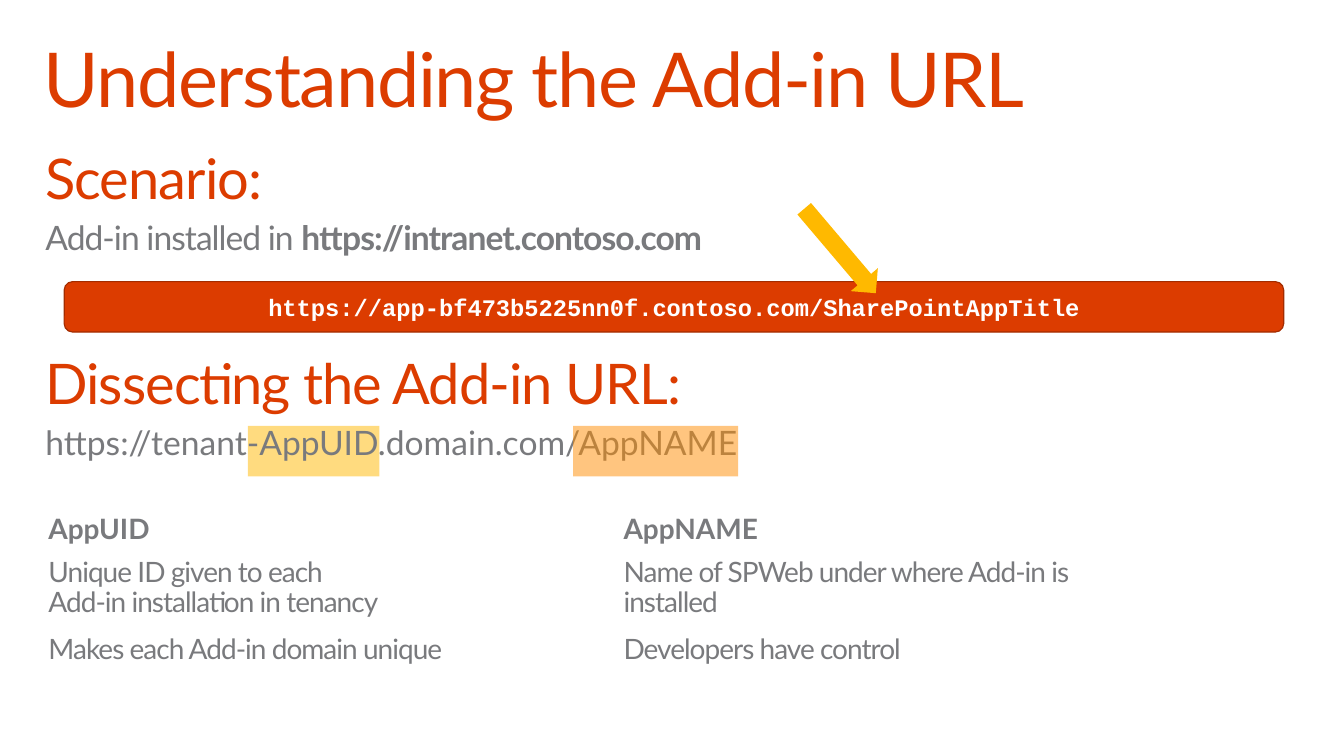
from dataclasses import dataclass
from typing import NamedTuple

from lxml.etree import SubElement
from pptx import Presentation
from pptx.dml.color import RGBColor as Rgb
from pptx.enum.shapes import MSO_SHAPE as Kind
from pptx.enum.text import MSO_ANCHOR as Anchor, PP_ALIGN as Align
from pptx.oxml.ns import qn
from pptx.util import Emu, Pt

PX = 9144  # one px is a hundredth of an inch


@dataclass(frozen=True)
class Theme:
    red: str = "DC3C00"
    edge: str = "A32C00"
    gray: str = "797A7D"
    white: str = "FFFFFF"
    gold: str = "FFB900"
    amber: str = "FF8C00"
    sans: str = "Lato"
    mono: str = "Courier New"
    title: float = 55.1
    head: float = 40.8
    lead: float = 24.5
    text: float = 20.4
    code: float = 17.3


T = Theme()


class Box(NamedTuple):
    x: int
    y: int
    w: int
    h: int


class Run(NamedTuple):
    text: str
    size: float
    color: str = T.gray
    bold: bool = False
    track: float = 0  # letter spacing in points
    font: str = T.sans


class Para(NamedTuple):
    runs: list[Run]
    before: float = 0
    line: float = 1.0
    align: Align = Align.LEFT


class Form(NamedTuple):
    kind: Kind
    box: Box
    fill: str
    alpha: int = 100
    turn: float = 0
    edge: str = ""


class Topic(NamedTuple):
    name: str
    facts: list[str]


def emu(box: Box) -> list[Emu]:
    return [Emu(n * PX) for n in box]


def write(shape, paras: list[Para], pad: tuple[int, int]) -> None:
    frame = shape.text_frame
    frame.word_wrap = True
    frame.margin_left = frame.margin_right = Emu(pad[0] * PX)
    frame.margin_top = frame.margin_bottom = Emu(pad[1] * PX)
    for i, para in enumerate(paras):
        p = frame.paragraphs[0] if i == 0 else frame.add_paragraph()
        p.alignment = para.align
        p.line_spacing = para.line
        p.space_before = Pt(para.before)
        for item in para.runs:
            for j, part in enumerate(item.text.split("\n")):
                if j:
                    p.add_line_break()
                run = p.add_run()
                run.text = part
                font = run.font
                font.name, font.size, font.bold = item.font, Pt(item.size), item.bold
                font.color.rgb = Rgb.from_string(item.color)
                run._r.get_or_add_rPr().set("spc", str(round(item.track * 100)))


def label(slide, box: Box, paras: list[Para], pad: tuple[int, int] = (20, 16)) -> None:
    write(slide.shapes.add_textbox(*emu(box)), paras, pad)


def draw(slide, form: Form):
    shape = slide.shapes.add_shape(form.kind, *emu(form.box))
    shape.shadow.inherit = False
    shape.rotation = form.turn
    shape.fill.solid()
    shape.fill.fore_color.rgb = Rgb.from_string(form.fill)
    if form.alpha < 100:
        tint = shape._element.spPr.find(qn("a:solidFill"))[0]
        SubElement(tint, qn("a:alpha")).set("val", str(form.alpha * 1000))
    if form.edge:
        shape.line.color.rgb = Rgb.from_string(form.edge)
        shape.line.width = Pt(0.85)
    else:
        shape.line.fill.background()
    return shape


def column(slide, left: int, topic: Topic) -> None:
    label(slide, Box(left, 508, 578, 71),
          [Para([Run(topic.name, T.text, bold=True)], line=0.85)])
    label(slide, Box(left, 549, 578, 174),
          [Para([Run(fact, T.text, track=-0.7)], 12.2 if i else 0, 0.9)
           for i, fact in enumerate(topic.facts)])


TOPICS = [
    Topic("AppUID", ["Unique ID given to each\nAdd-in installation in tenancy",
                     "Makes each Add-in domain unique"]),
    Topic("AppNAME", ["Name of SPWeb under where Add-in is installed",
                      "Developers have control"]),
]


def main() -> None:
    deck = Presentation()
    deck.slide_width, deck.slide_height = Emu(1360 * PX), Emu(765 * PX)
    slide = deck.slides.add_slide(deck.slide_layouts[6])

    # Highlight behind the address
    draw(slide, Form(Kind.RECTANGLE, Box(251, 431, 133, 51), T.gold, 50))

    # Title and body
    label(slide, Box(28, 33, 1244, 83),
          [Para([Run("Understanding the Add-in URL", T.title, T.red, track=-1)],
                line=0.9)], (16, 10))
    label(slide, Box(26, 129, 1299, 600), [
        Para([Run("Scenario:", T.head, T.red, track=-0.7)]),
        Para([Run("Add-in installed in ", T.lead, track=-0.7),
              Run("https://intranet.contoso.com", T.lead, bold=True, track=-0.7)], 5),
        Para([Run("Dissecting the Add-in URL:", T.head, T.red, track=-0.7)], 66),
        Para([Run("https://tenant-AppUID.domain.com/AppNAME", T.lead)], 5),
    ])

    # Address bar
    bar = draw(slide, Form(Kind.ROUNDED_RECTANGLE, Box(65, 285, 1234, 51),
                           T.red, edge=T.edge))
    bar.text_frame.vertical_anchor = Anchor.MIDDLE
    write(bar, [Para([Run("https://app-bf473b5225nn0f.contoso.com/SharePointAppTitle",
                          T.code, T.white, True, font=T.mono)],
                     align=Align.CENTER)], (13, 7))

    # Explanations of both parts
    for i, topic in enumerate(TOPICS):
        column(slide, 29 + 582 * i, topic)

    # Highlight over the name, and the arrow
    draw(slide, Form(Kind.RECTANGLE, Box(580, 431, 167, 51), T.amber, 50))
    draw(slide, Form(Kind.RIGHT_ARROW, Box(794, 236, 112, 36), T.gold, turn=49.7))

    deck.save("out.pptx")


if __name__ == "__main__":
    main()
